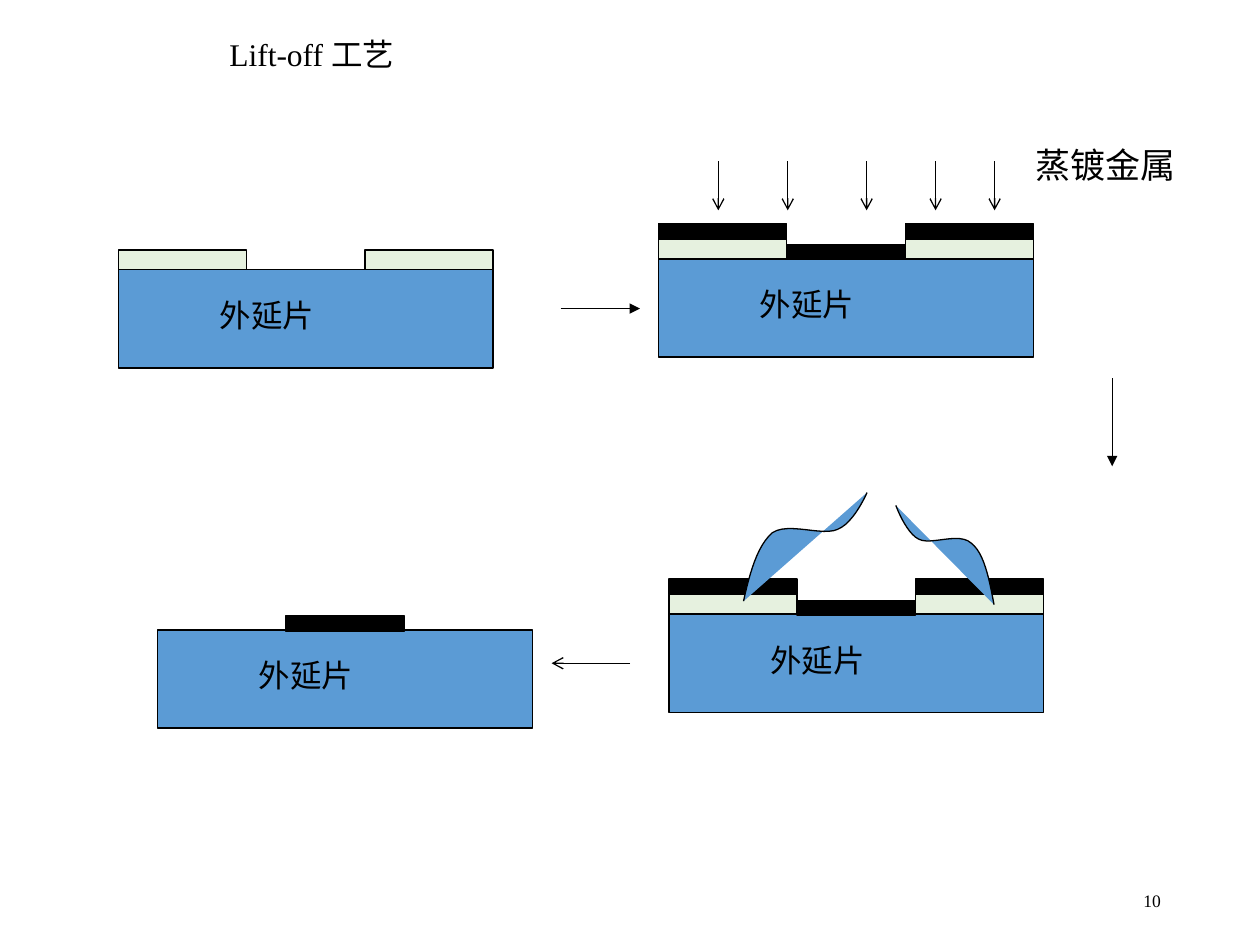
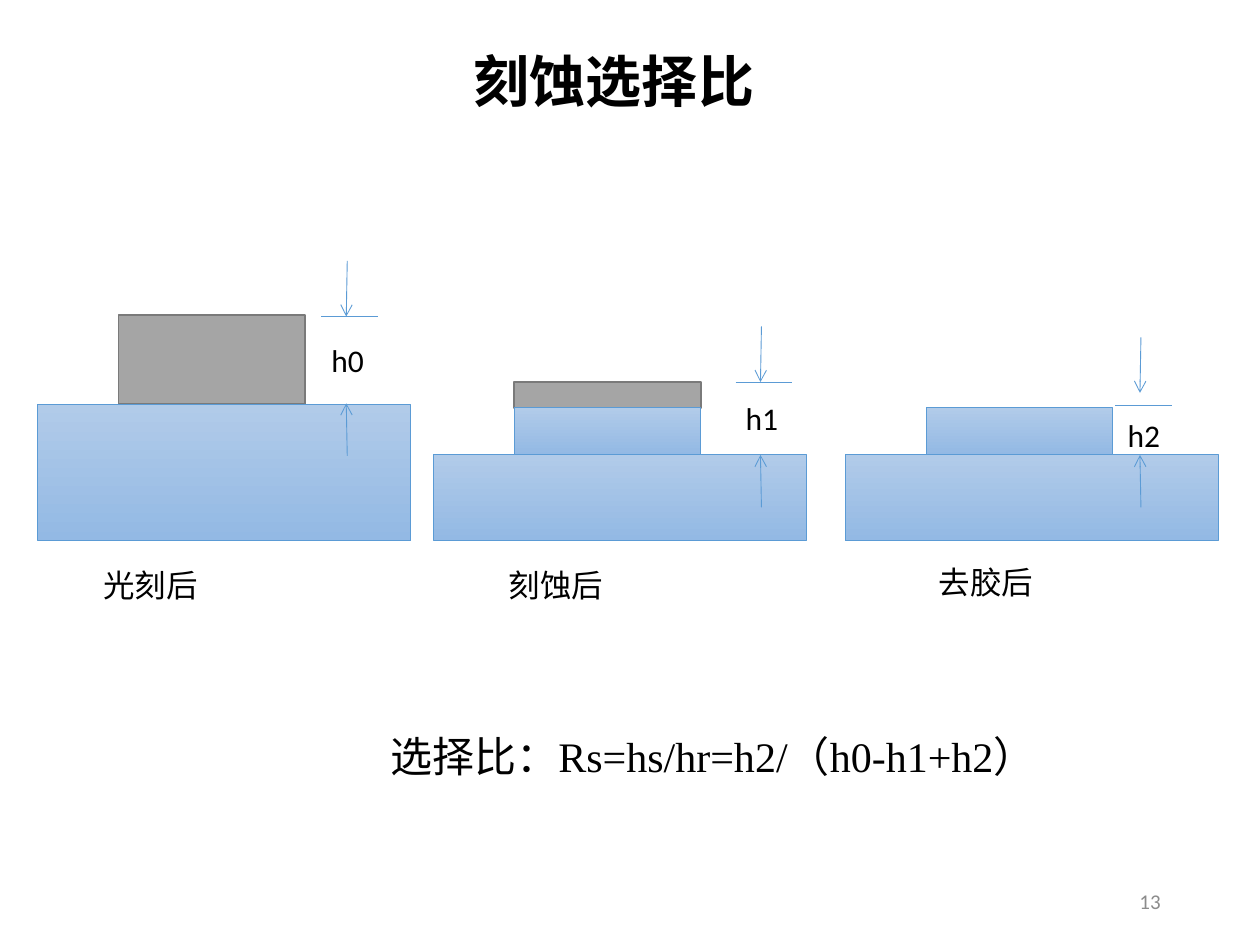
import pptx
import pptx.util
import pptx.dml.color
import pptx.enum.shapes
import pptx.enum.text
import pptx.oxml.ns
from lxml import etree

Cm, Pt = pptx.util.Cm, pptx.util.Pt
qn = pptx.oxml.ns.qn
hue = pptx.dml.color.RGBColor.from_string
left, right = pptx.enum.text.PP_ALIGN.LEFT, pptx.enum.text.PP_ALIGN.RIGHT
top, middle = pptx.enum.text.MSO_ANCHOR.TOP, pptx.enum.text.MSO_ANCHOR.MIDDLE

# Shared colours and fonts
black, blue, green, gray = "000000", "5B9BD5", "C5E0B4", "A5A5A5"
fade = ("B1CBE9", "93B9E4")
serif, sans = "Times New Roman", "Calibri"


def paint(shape, fill, line=black, width=0.75):
    """Give a shape a plain or faded fill and an outline."""
    shape.shadow.inherit = False
    if fill == fade:
        shape.fill.gradient()
        shape.fill.gradient_angle = 270
        for stop, tone in zip(shape.fill.gradient_stops, fade):
            stop.color.rgb = hue(tone)
    else:
        shape.fill.solid()
        shape.fill.fore_color.rgb = hue(fill)
    if fill == green:
        tint = shape.fill._xPr.find(".//" + qn("a:srgbClr"))
        etree.SubElement(tint, qn("a:alpha")).set("val", "42000")
    shape.line.color.rgb = hue(line)
    shape.line.width = Pt(width)


def write(shape, text, size, font, tone=black, bold=False, align=left, anchor=top):
    """Put one formatted run into a title or text box."""
    frame = shape.text_frame
    frame.word_wrap = True
    frame.auto_size = pptx.enum.text.MSO_AUTO_SIZE.NONE
    frame.vertical_anchor = anchor
    para = frame.paragraphs[0]
    para.alignment = align
    run = para.add_run()
    run.text = text
    run.font.size = Pt(size)
    run.font.name = font
    run.font.bold = bold
    run.font.color.rgb = hue(tone)


deck = pptx.Presentation()
deck.slide_width, deck.slide_height = Cm(25.4), Cm(19.05)

# Slides with their titles and page numbers
heads = [
    ("Lift-off 工艺", (4.37, 0.58, 14.48, 1.3), 18, serif, False, "10", 10, black),
    ("刻蚀选择比", (9.3, 0.81, 7.29, 1.63), 32, sans, True, "13", 12, "8C8C8C"),
]
pages = []
for text, spot, size, font, bold, num, small, tone in heads:
    page = deck.slides.add_slide(deck.slide_layouts[5])
    title = page.shapes.title
    title.left, title.top, title.width, title.height = map(Cm, spot)
    write(title, text, size, font, bold=bold)
    foot = page.shapes.add_textbox(Cm(17.93), Cm(17.65), Cm(5.72), Cm(1.02))
    write(foot, num, small, font, tone, align=right, anchor=middle)
    pages.append(page)
lift, etch = pages

rects = []   # page, spot, fill, line colour, line width
lines = []   # page, from x, from y, to x, to y, colour, width, head
notes = []   # page, spot, text, size, font

# Lift-off: wafers with optional resist, top metal and middle metal
wafers = [
    (2.39, 5.44, True, False),
    (13.28, 5.22, True, True),
    (13.49, 12.38, True, True),
    (3.18, 12.7, False, True),
]
for x, y, resist, metal in wafers:
    rects.append((lift, (x, y, 7.55, 1.98), blue, black, 0.75))
    for side in (x, x + 4.97):
        if resist:
            rects.append((lift, (side, y - 0.4, 2.58, 0.4), green, black, 0.75))
        if resist and metal:
            rects.append((lift, (side, y - 0.71, 2.58, 0.31), black, black, 0.75))
    if metal:
        rects.append((lift, (x + 2.58, y - 0.28, 2.39, 0.3), black, black, 0.75))
    notes.append((lift, (x + 1.79, y + 0.41, 3.58, 1.27), "外延片", 18, serif))
notes.append((lift, (20.62, 2.77, 3.58, 1.12), "蒸镀金属", 20, serif))

# Lift-off: metal vapour and process arrows
for x in (14.48, 15.88, 17.47, 18.86, 20.05):
    lines.append((lift, x, 3.25, x, 4.24, black, 0.75, "arrow"))
lines += [
    (lift, 11.3, 6.22, 12.9, 6.22, black, 0.75, "triangle"),
    (lift, 22.42, 7.62, 22.42, 9.4, black, 0.75, "triangle"),
    (lift, 12.7, 13.37, 11.12, 13.37, black, 0.75, "arrow"),
]

# Etching: base top, mask (top, height) and mesa for each stage
stages = [
    (0.76, 8.15, (6.35, 1.79), False),
    (8.74, 9.17, (7.7, 0.52), True),
    (17.04, 9.17, None, True),
]
for x, y, mask, mesa in stages:
    if mask:
        rects.append((etch, (x + 1.63, mask[0], 3.76, mask[1]), gray, "7A7A7A", 1))
    rects.append((etch, (x, y, 7.52, 10.9 - y), fade, blue, 0.5))
    if mesa:
        rects.append((etch, (x + 1.63, 8.22, 3.76, 0.95), fade, blue, 0.5))

# Etching: height marks (bar, arrow tips) with labels
marks = [
    ("h0", 6.48, 6.38, 6.38, 8.13, 6.43, 6.76),
    ("h1", 14.83, 7.7, 7.7, 9.17, 14.78, 7.92),
    ("h2", 22.48, 8.18, 7.92, 9.17, 22.48, 8.26),
]
for text, x, bar, down, up, tx, ty in marks:
    mid = x + 0.5
    lines += [
        (etch, x, bar, x + 1.14, bar, blue, 0.5, None),
        (etch, mid + 0.02, down - 1.12, mid, down, blue, 0.5, "arrow"),
        (etch, mid + 0.02, up + 1.06, mid, up, blue, 0.5, "arrow"),
    ]
    notes.append((etch, (tx, ty, 1.24, 1.02), text, 18, sans))
for x, y, text in ((1.83, 11.28, "光刻后"), (10.01, 11.28, "刻蚀后"), (18.67, 11.23, "去胶后")):
    notes.append((etch, (x, y, 5.36, 1.02), text, 18, sans))
notes.append((etch, (7.62, 14.6, 14.58, 2.31), "选择比：Rs=hs/hr=h2/（h0-h1+h2）", 24, serif))

# Draw the rectangles
for page, spot, fill, line, width in rects:
    kind = pptx.enum.shapes.MSO_SHAPE.RECTANGLE
    paint(page.shapes.add_shape(kind, *map(Cm, spot)), fill, line, width)

# Draw the peeling flaps, each from three cubic curves
flaps = [
    [(14.99, 12.12), (15.11, 11.56), (15.27, 11), (15.57, 10.74), (15.9, 10.52),
     (16.59, 10.82), (16.89, 10.67), (17.22, 10.54), (17.48, 9.93), (17.48, 9.93)],
    [(20.04, 12.19), (19.94, 11.66), (19.84, 11.15), (19.58, 10.95), (19.33, 10.72),
     (18.77, 11), (18.52, 10.87), (18.26, 10.74), (18.06, 10.19), (18.06, 10.19)],
]
steps = 12
for flap in flaps:
    dots = []
    for i in range(0, 9, 3):
        for n in range(1, steps + 1):
            t = n / steps
            parts = ((1 - t) ** 3, 3 * t * (1 - t) ** 2, 3 * t * t * (1 - t), t ** 3)
            dots.append([Cm(sum(p * k[a] for p, k in zip(parts, flap[i:i + 4])))
                         for a in (0, 1)])
    form = lift.shapes.build_freeform(Cm(flap[0][0]), Cm(flap[0][1]))
    form.add_line_segments(dots, close=False)
    paint(form.convert_to_shape(), blue)

# Draw the lines and arrows
for page, x1, y1, x2, y2, tone, width, head in lines:
    kind = pptx.enum.shapes.MSO_CONNECTOR.STRAIGHT
    link = page.shapes.add_connector(kind, Cm(x1), Cm(y1), Cm(x2), Cm(y2))
    link.line.color.rgb = hue(tone)
    link.line.width = Pt(width)
    if head:
        etree.SubElement(link.line._get_or_add_ln(), qn("a:tailEnd")).set("type", head)
    etree.SubElement(link._element.spPr, qn("a:effectLst"))

# Write the labels
for page, spot, text, size, font in notes:
    write(page.shapes.add_textbox(*map(Cm, spot)), text, size, font)

deck.save("out.pptx")
